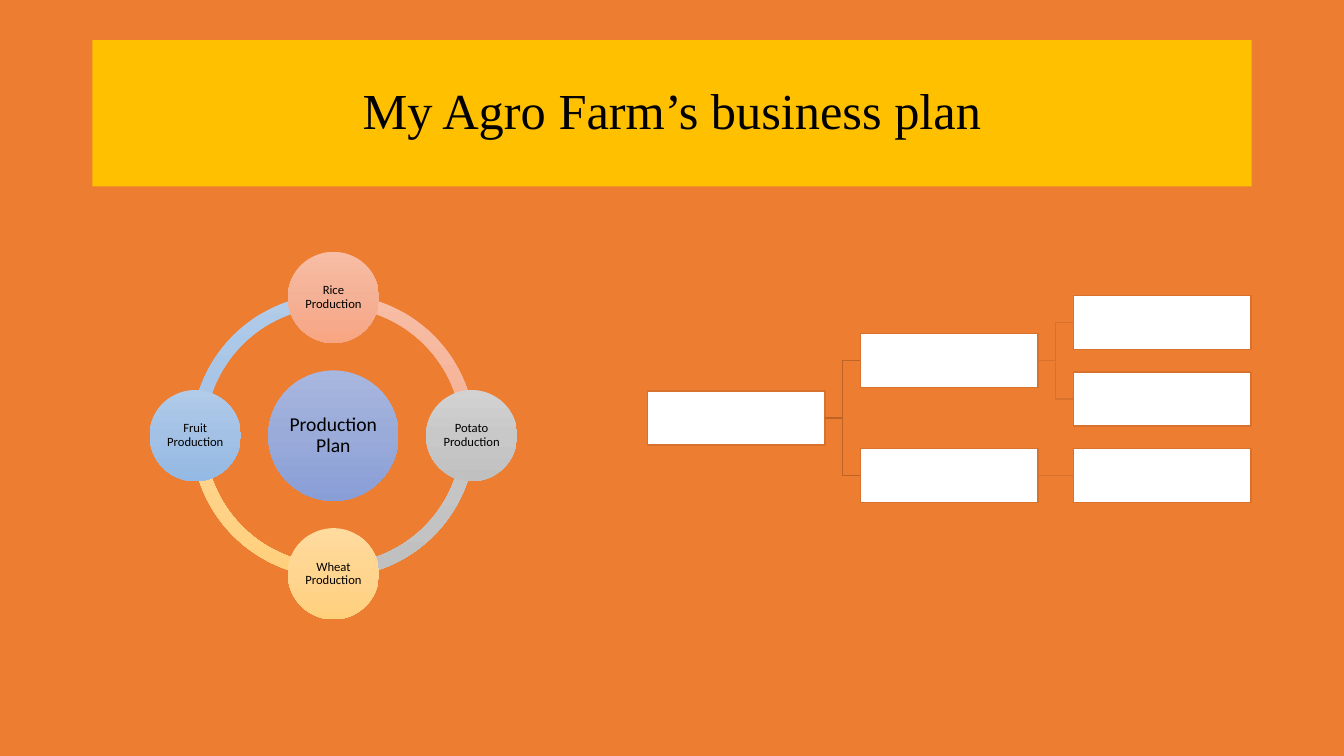
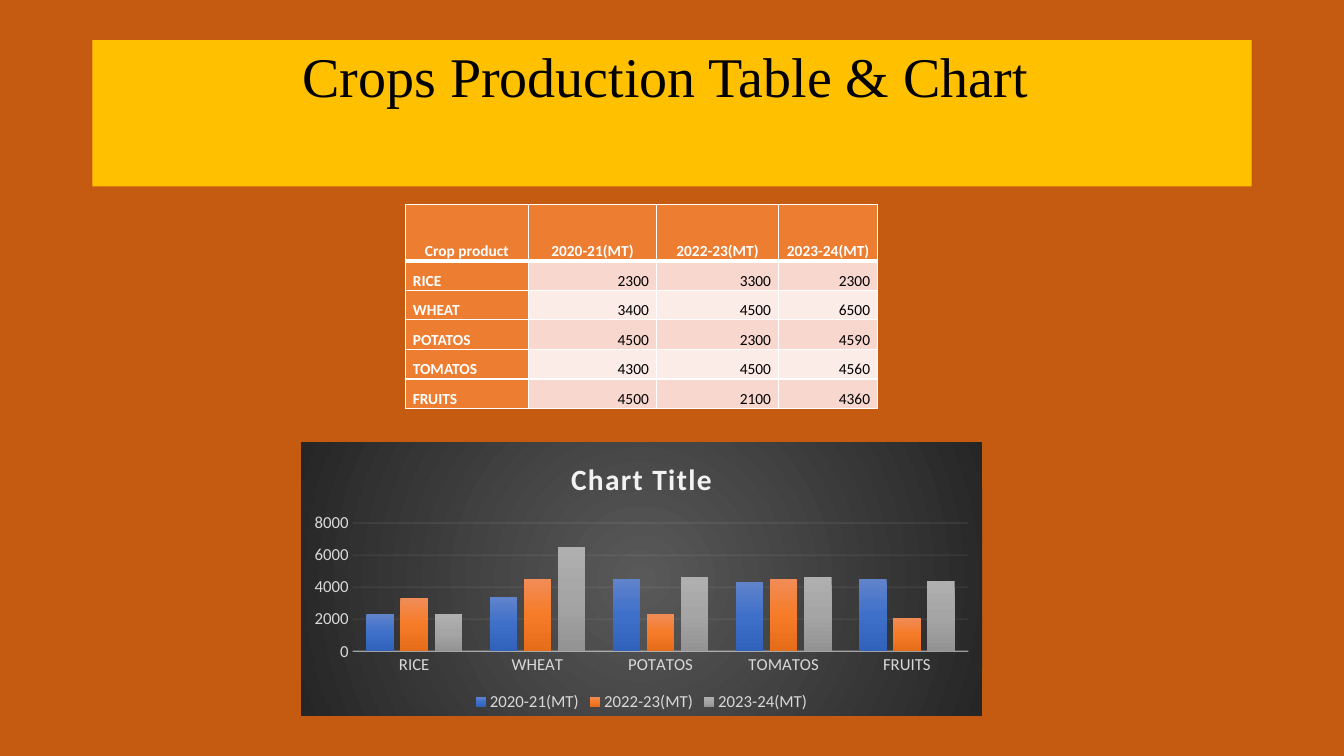
import pptx
import pptx.chart.data
import pptx.dml.color
import pptx.enum.chart
import pptx.enum.dml
import pptx.enum.shapes
import pptx.enum.text
import pptx.oxml
import pptx.oxml.ns
import pptx.util

Pt = pptx.util.Pt
RGB = pptx.dml.color.RGBColor.from_string
qn = pptx.oxml.ns.qn
PP_ALIGN = pptx.enum.text.PP_ALIGN
ANCHOR = pptx.enum.text.MSO_ANCHOR
SHAPE = pptx.enum.shapes.MSO_SHAPE
CONNECTOR = pptx.enum.shapes.MSO_CONNECTOR
NAMESPACES = pptx.oxml.ns.nsdecls("a", "c")

COLORS = {
    "orange": "ED7D31", "dark orange": "C55A11", "yellow": "FFC000",
    "black": "000000", "white": "FFFFFF",
    "first branch": "BE6427", "second branch": "D7712C",
    "odd row": "F8D7CE", "even row": "FCECE8",
    "chart text": "D9D9D9", "chart title": "F2F2F2", "chart line": "F2F2F2",
}
GRADIENTS = {
    "indigo": ["A8B7DF", "9AABD9", "889ED7"],
    "peach": ["F7BDA5", "F5B196", "F8A582"],
    "gray": ["D2D2D2", "C8C8C8", "C0C0C0"],
    "sand": ["FFDB9E", "FFD590", "FFD07C"],
    "sky": ["B1CBE9", "A3C1E5", "93B9E4"],
    "blue bar": ["6183CB", "3E70CA", "3062BB"],
    "orange bar": ["F18C57", "F67B28", "E56C19"],
    "gray bar": ["AFAFAF", "A5A5A5", "939393"],
    "chart area": ["595959", "262626"],
}


def fill_gradient(properties, name, direction='<a:lin ang="5400000" scaled="0"/>'):
    """Replace the solid fill in shape properties with a gradient."""
    colors = GRADIENTS[name]
    stops = "".join(
        f'<a:gs pos="{100000 * index // (len(colors) - 1)}"><a:srgbClr val="{color}"/></a:gs>'
        for index, color in enumerate(colors))
    gradient = pptx.oxml.parse_xml(
        f'<a:gradFill {NAMESPACES} rotWithShape="1"><a:gsLst>{stops}</a:gsLst>{direction}</a:gradFill>')
    properties.replace(properties.find(qn("a:solidFill")), gradient)


def format_text(text_frame, size, color, font="Calibri", bold=False,
                align=PP_ALIGN.CENTER, spacing=0.9):
    for paragraph in text_frame.paragraphs:
        paragraph.alignment = align
        paragraph.line_spacing = spacing
        for run in paragraph.runs:
            run.font.name = font
            run.font.size = Pt(size)
            run.font.bold = bold
            run.font.color.rgb = RGB(COLORS[color])


presentation = pptx.Presentation()
presentation.slide_width, presentation.slide_height = Pt(960), Pt(540)

# Backgrounds and title bands
slides = []
for title_text, title_size, background, anchor in [
    ("My Agro Farm’s business plan", 36, "orange", ANCHOR.MIDDLE),
    ("Crops Production Table & Chart", 40, "dark orange", ANCHOR.TOP),
]:
    slide = presentation.slides.add_slide(presentation.slide_layouts[5])
    slide.background.fill.solid()
    slide.background.fill.fore_color.rgb = RGB(COLORS[background])
    title = slide.shapes.title
    title.left, title.top, title.width, title.height = Pt(66), Pt(28.75), Pt(828), Pt(104.4)
    title.fill.solid()
    title.fill.fore_color.rgb = RGB(COLORS["yellow"])
    title.text_frame.text = title_text
    title.text_frame.auto_size = pptx.enum.text.MSO_AUTO_SIZE.NONE
    title.text_frame.vertical_anchor = anchor
    format_text(title.text_frame, title_size, "black", "Times New Roman")
    slides.append(slide)
plan_slide, crops_slide = slides
crops_slide.shapes.title.text_frame.margin_top = Pt(6.4)
crops_slide.shapes.title.text_frame.margin_right = Pt(17)

# Production cycle: ring segments, then the circles on top
center_x, center_y, ring_size, orbit = 238.2, 311.2, 202.4, 98.7
for start_angle, gradient in [(180, "sky"), (90, "sand"), (0, "gray"), (270, "peach")]:
    arc = plan_slide.shapes.add_shape(
        SHAPE.BLOCK_ARC, Pt(center_x - ring_size / 2), Pt(center_y - ring_size / 2),
        Pt(ring_size), Pt(ring_size))
    arc.shadow.inherit = False
    arc.adjustments[0] = start_angle * 0.6
    arc.adjustments[1] = (start_angle + 90) % 360 * 0.6
    arc.adjustments[2] = 0.046
    arc.fill.solid()
    fill_gradient(arc._element.spPr, gradient)
    arc.line.fill.background()

for label, across, down, diameter, size, gradient in [
    ("Production Plan", 0, 0, 93.2, 14, "indigo"),
    ("Rice Production", 0, -1, 65.2, 9, "peach"),
    ("Potato Production", 1, 0, 65.2, 9, "gray"),
    ("Wheat Production", 0, 1, 65.2, 9, "sand"),
    ("Fruit Production", -1, 0, 65.2, 9, "sky"),
]:
    circle = plan_slide.shapes.add_shape(
        SHAPE.OVAL, Pt(center_x + across * orbit - diameter / 2),
        Pt(center_y + down * orbit - diameter / 2), Pt(diameter), Pt(diameter))
    circle.shadow.inherit = False
    circle.fill.solid()
    fill_gradient(circle._element.spPr, gradient)
    circle.line.fill.background()
    text_frame = circle.text_frame
    text_frame.margin_left = text_frame.margin_right = Pt(1)
    text_frame.margin_top = text_frame.margin_bottom = Pt(1)
    text_frame.word_wrap = True
    text_frame.vertical_anchor = ANCHOR.MIDDLE
    text_frame.text = label
    format_text(text_frame, size, "black")

# Hierarchy: column, row and parent of each box
boxes = []
for column, row, parent in [(0, 1.25, None), (1, 0.5, 0), (1, 2, 0),
                            (2, 0, 1), (2, 1, 1), (2, 2, 2)]:
    box = plan_slide.shapes.add_shape(
        SHAPE.RECTANGLE, Pt(462.4 + 152.2 * column), Pt(211 + 54.7 * row), Pt(126.8), Pt(38.6))
    box.shadow.inherit = False
    box.fill.solid()
    box.fill.fore_color.rgb = RGB(COLORS["white"])
    box.line.color.rgb = RGB(COLORS["second branch"])
    box.line.width = Pt(1)
    boxes.append(box)
    if parent is not None:
        level = boxes[parent].top == box.top
        connector = plan_slide.shapes.add_connector(
            CONNECTOR.STRAIGHT if level else CONNECTOR.ELBOW, 0, 0, 0, 0)
        connector.begin_connect(boxes[parent], 3)
        connector.end_connect(box, 1)
        connector.line.color.rgb = RGB(COLORS["first branch" if column == 1 else "second branch"])
        connector.line.width = Pt(1)
        connector._element.spPr.append(pptx.oxml.parse_xml(f"<a:effectLst {NAMESPACES}/>"))

# Crop figures, used by the table and, in round hundreds, by the chart
years = ["2020-21(MT)", "2022-23(MT)", "2023-24(MT)"]
crops = {
    "RICE": [2300, 3300, 2300],
    "WHEAT": [3400, 4500, 6500],
    "POTATOS": [4500, 2300, 4590],
    "TOMATOS": [4300, 4500, 4560],
    "FRUITS": [4500, 2100, 4360],
}

# Table
rows = [["Crop product", *years]] + [[crop, *values] for crop, values in crops.items()]
table = crops_slide.shapes.add_table(
    len(rows), len(rows[0]), Pt(289.5), Pt(146), Pt(337.5), Pt(145.8)).table
for column, width in zip(table.columns, [88, 91.5, 87.2, 70.8]):
    column.width = Pt(width)
for row_index, values in enumerate(rows):
    table.rows[row_index].height = Pt(40.3 if row_index == 0 else 21.1)
    for column_index, value in enumerate(values):
        cell = table.cell(row_index, column_index)
        heading = row_index == 0 or column_index == 0
        band = "odd row" if row_index % 2 else "even row"
        cell.fill.solid()
        cell.fill.fore_color.rgb = RGB(COLORS["orange" if heading else band])
        cell.margin_left = cell.margin_right = Pt(5.4)
        cell.margin_top = cell.margin_bottom = 0
        cell.vertical_anchor = ANCHOR.BOTTOM
        cell.text_frame.text = str(value)
        if row_index == 0:
            align = PP_ALIGN.CENTER
        else:
            align = PP_ALIGN.LEFT if column_index == 0 else PP_ALIGN.RIGHT
        format_text(cell.text_frame, 11, "white" if heading else "black",
                    bold=heading, align=align, spacing=1.07)
        # A thick rule lies between the header and the first row
        thick_side = {0: "lnB", 1: "lnT"}.get(row_index)
        for position, side in enumerate(["lnL", "lnR", "lnT", "lnB"]):
            border = pptx.oxml.parse_xml(
                f'<a:{side} {NAMESPACES} w="{Pt(3 if side == thick_side else 1)}">'
                f'<a:solidFill><a:srgbClr val="{COLORS["white"]}"/></a:solidFill></a:{side}>')
            cell._tc.get_or_add_tcPr().insert(position, border)

# Chart
chart_data = pptx.chart.data.CategoryChartData()
chart_data.categories = list(crops)
for year, values in zip(years, zip(*crops.values())):
    chart_data.add_series(year, [round(value, -2) for value in values])
chart = crops_slide.shapes.add_chart(
    pptx.enum.chart.XL_CHART_TYPE.COLUMN_CLUSTERED,
    Pt(215), Pt(316), Pt(486.5), Pt(195.4), chart_data).chart
chart.font.name = "Calibri"
chart.font.size = Pt(12)
chart.font.color.rgb = RGB(COLORS["chart text"])

chart_area = pptx.oxml.parse_xml(
    f'<c:spPr {NAMESPACES}><a:solidFill/><a:ln><a:noFill/></a:ln></c:spPr>')
fill_gradient(chart_area, "chart area",
              '<a:path path="circle"><a:fillToRect l="50000" t="50000" r="50000" b="50000"/></a:path>')
chart._chartSpace.find(qn("c:txPr")).addprevious(chart_area)

chart.has_title = True
chart.chart_title.include_in_layout = False
chart.chart_title.text_frame.text = "Chart Title"
format_text(chart.chart_title.text_frame, 21, "chart title", bold=True, spacing=1.0)
chart.chart_title.text_frame.paragraphs[0].runs[0]._r.get_or_add_rPr().set("spc", "100")

chart.has_legend = True
chart.legend.position = pptx.enum.chart.XL_LEGEND_POSITION.BOTTOM
chart.legend.include_in_layout = False

plot = chart.plots[0]
plot.vary_by_categories = False
plot.gap_width = 100
plot.overlap = -24
for series, gradient in zip(plot.series, ["blue bar", "orange bar", "gray bar"]):
    series.format.fill.solid()
    fill_gradient(series._element.find(qn("c:spPr")), gradient)

for axis in (chart.category_axis, chart.value_axis):
    axis.major_tick_mark = axis.minor_tick_mark = pptx.enum.chart.XL_TICK_MARK.NONE
value_axis = chart.value_axis
value_axis.minimum_scale, value_axis.maximum_scale, value_axis.major_unit = 0, 8000, 2000
value_axis.format.line.fill.background()
for line, width, opacity in [(chart.category_axis.format.line, 1, 54),
                             (value_axis.major_gridlines.format.line, 0.75, 10)]:
    line.color.rgb = RGB(COLORS["chart line"])
    line.width = Pt(width)
    line_color = line._ln.find(".//" + qn("a:srgbClr"))
    line_color.append(pptx.oxml.parse_xml(f'<a:alpha {NAMESPACES} val="{opacity * 1000}"/>'))

presentation.save("out.pptx")
